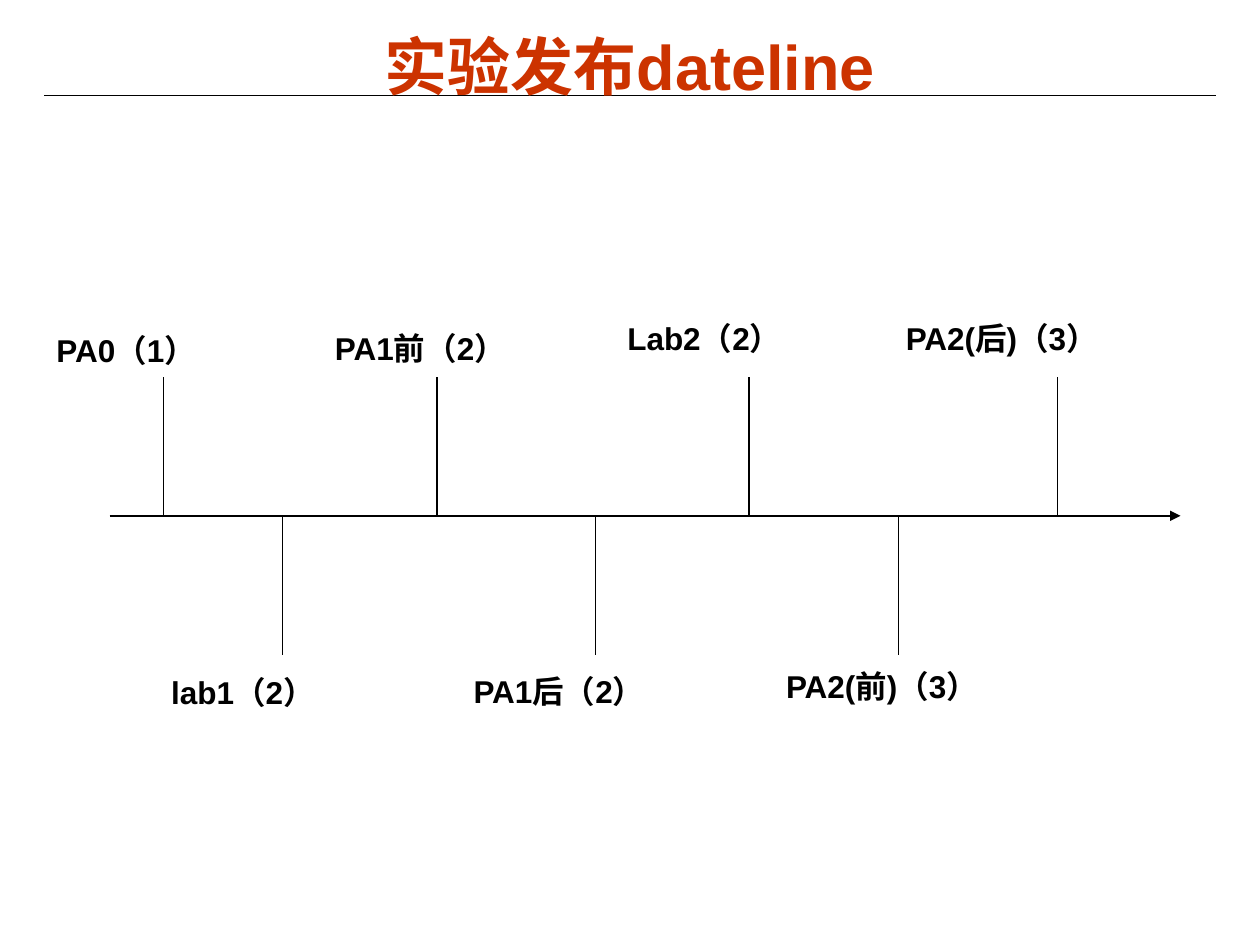
from lxml.etree import SubElement
from pptx import Presentation
from pptx.dml.color import RGBColor
from pptx.enum.shapes import MSO_CONNECTOR
from pptx.enum.text import MSO_ANCHOR, PP_ALIGN
from pptx.oxml.ns import qn
from pptx.util import Pt

TITLE = "实验发布dateline"
MILESTONES = [
    {"label": "PA0（1）", "tick": 93.6, "box": (25.2, 182.2, 139, 36)},
    {"label": "lab1（2）", "tick": 161.6, "box": (90.7, 378, 139, 36)},
    {"label": "PA1前（2）", "tick": 249.8, "box": (184.3, 181.4, 167, 57)},
    {"label": "PA1后（2）", "tick": 340.2, "box": (263.5, 377.3, 167, 65)},
    {"label": "Lab2（2）", "tick": 428, "box": (351.4, 175.7, 175.7, 57)},
    {"label": "PA2(前)（3）", "tick": 513.4, "box": (442.1, 374.4, 175.7, 57)},
    {"label": "PA2(后)（3）", "tick": 604.1, "box": (510.5, 175.7, 178.6, 57)},
]
THEME = {
    "font": "Arial",
    "title_color": RGBColor(0xCC, 0x33, 0x00),
    "ink": RGBColor(0, 0, 0),
    "title_size": Pt(36),
    "label_size": Pt(18),
    "line_width": Pt(0.75),
}
AXIS_Y = 294.8
TICK_LENGTH = 79.5
HANGING_INDENT = Pt(26)


def add_line(slide, x1, y1, x2, y2, arrow=False):
    connector = slide.shapes.add_connector(
        MSO_CONNECTOR.STRAIGHT, Pt(x1), Pt(y1), Pt(x2), Pt(y2))
    connector.line.color.rgb = THEME["ink"]
    connector.line.width = THEME["line_width"]
    if arrow:
        SubElement(connector.line._get_or_add_ln(), qn("a:tailEnd"), type="triangle")
    SubElement(connector._element.spPr, qn("a:effectLst"))


def add_text(slide, text, box, size, color):
    shape = slide.shapes.add_textbox(*map(Pt, box))
    shape.text_frame.word_wrap = True
    paragraph = shape.text_frame.paragraphs[0]
    paragraph.text = text
    paragraph.font.name = THEME["font"]
    paragraph.font.size = size
    paragraph.font.bold = True
    paragraph.font.color.rgb = color
    return shape.text_frame, paragraph


def add_title(slide):
    add_line(slide, 25.2, 54.7, 694.8, 54.7)
    frame, paragraph = add_text(
        slide, TITLE, (36, 15.1, 648, 44), THEME["title_size"], THEME["title_color"])
    frame.margin_left = frame.margin_right = frame.margin_top = frame.margin_bottom = 0
    frame.vertical_anchor = MSO_ANCHOR.MIDDLE
    paragraph.alignment = PP_ALIGN.CENTER


def add_timeline(slide):
    add_line(slide, 62.6, AXIS_Y, 674.6, AXIS_Y, arrow=True)
    for index, milestone in enumerate(MILESTONES):
        x = milestone["tick"]
        direction = -1 if index % 2 == 0 else 1
        add_line(slide, x, AXIS_Y, x, AXIS_Y + direction * TICK_LENGTH)
        frame, paragraph = add_text(
            slide, milestone["label"], milestone["box"], THEME["label_size"], THEME["ink"])
        paragraph.line_spacing = 1.15
        properties = paragraph._p.get_or_add_pPr()
        properties.set("marL", str(HANGING_INDENT))
        properties.set("indent", str(-HANGING_INDENT))


def main():
    presentation = Presentation()
    presentation.slide_width = Pt(720)
    presentation.slide_height = Pt(540)
    slide = presentation.slides.add_slide(presentation.slide_layouts[6])
    add_title(slide)
    add_timeline(slide)
    presentation.save("out.pptx")


if __name__ == "__main__":
    main()
